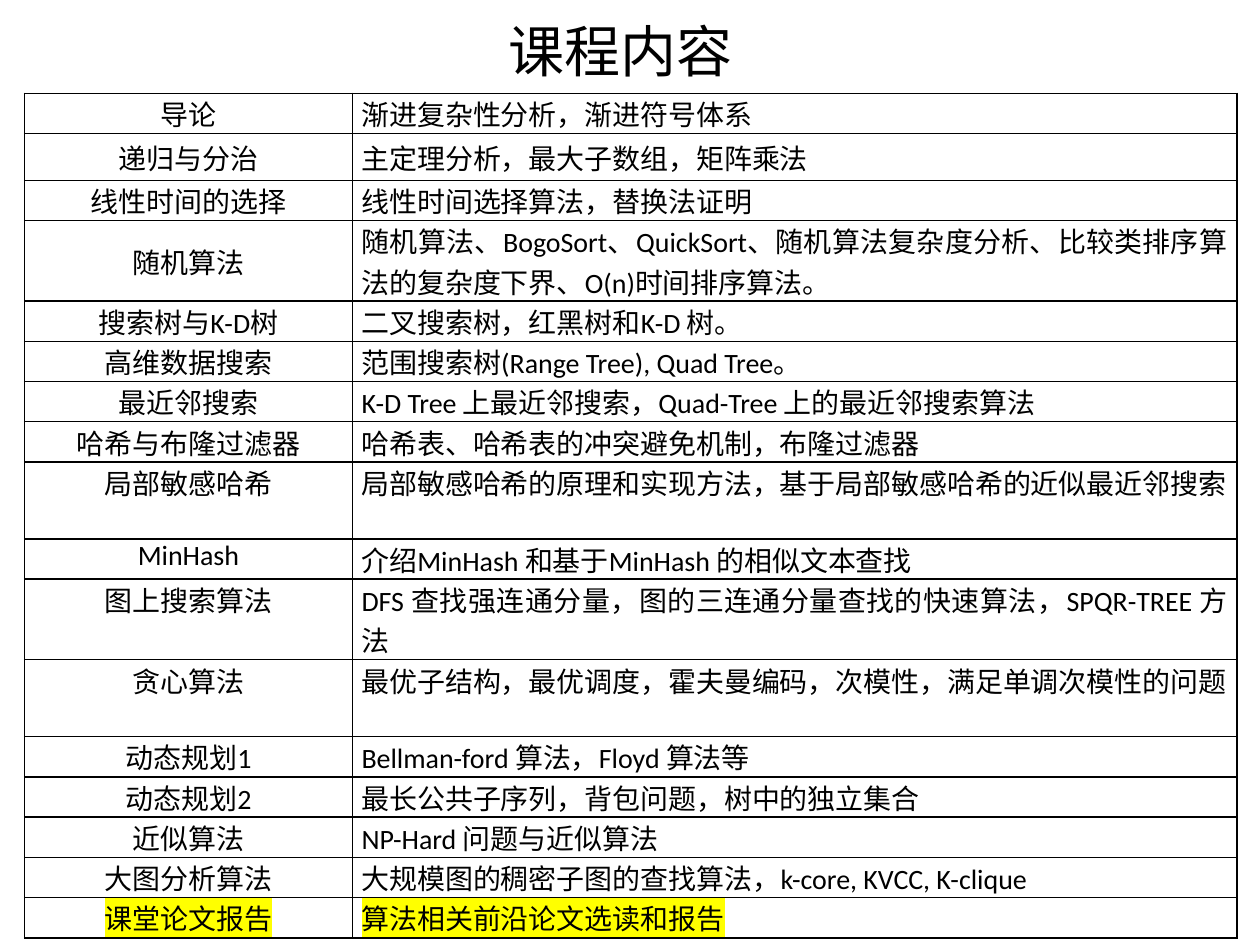
from pptx import Presentation
from pptx.util import Pt
from pptx.dml.color import RGBColor
from pptx.enum.text import PP_ALIGN as Align, MSO_ANCHOR as Anchor
from pptx.oxml import parse_xml
from pptx.oxml.ns import nsdecls

BLACK = RGBColor(0, 0, 0)
YELLOW = RGBColor(255, 255, 0)
LOW, MID, TALL, TWO = 23, 26.8, 44, 46  # TWO holds two lines of text

# Topic, details, row height
ROWS = [
    ("导论", "渐进复杂性分析，渐进符号体系", LOW),
    ("递归与分治", "主定理分析，最大子数组，矩阵乘法", MID),
    ("线性时间的选择", "线性时间选择算法，替换法证明", LOW),
    ("随机算法", "随机算法、BogoSort、QuickSort、随机算法复杂度分析、"
     "比较类排序算法的复杂度下界、O(n)时间排序算法。", TWO),
    ("搜索树与K-D树", "二叉搜索树，红黑树和K-D 树。", LOW),
    ("高维数据搜索", "范围搜索树(Range Tree), Quad Tree。", LOW),
    ("最近邻搜索", "K-D Tree 上最近邻搜索，Quad-Tree 上的最近邻搜索算法", LOW),
    ("哈希与布隆过滤器", "哈希表、哈希表的冲突避免机制，布隆过滤器", LOW),
    ("局部敏感哈希", "局部敏感哈希的原理和实现方法，基于局部敏感哈希的近似最近邻搜索", TALL),
    ("MinHash", "介绍MinHash 和基于MinHash 的相似文本查找", LOW),
    ("图上搜索算法", "DFS 查找强连通分量，图的三连通分量查找的快速算法，SPQR-TREE 方法", TWO),
    ("贪心算法", "最优子结构，最优调度，霍夫曼编码，次模性，满足单调次模性的问题", TALL),
    ("动态规划1", "Bellman-ford 算法，Floyd 算法等", LOW),
    ("动态规划2", "最长公共子序列，背包问题，树中的独立集合", LOW),
    ("近似算法", "NP-Hard 问题与近似算法", LOW),
    ("大图分析算法", "大规模图的稠密子图的查找算法，k-core, KVCC, K-clique", LOW),
    ("课堂论文报告", "算法相关前沿论文选读和报告", LOW),
]
CENTRED = 8  # the first rows are centred vertically, the rest sit at the top
INSETS = {"margin_left": Pt(5.2), "margin_right": Pt(5.2),
          "margin_top": 0, "margin_bottom": 0}


def write(para, text, size):
    run = para.add_run()
    run.text = text
    for key, val in {"size": Pt(size), "name": "Calibri"}.items():
        setattr(run.font, key, val)
    run.font.color.rgb = BLACK
    return run


def border(cell):
    props = cell._tc.get_or_add_tcPr()
    for spot, side in enumerate(("lnL", "lnR", "lnT", "lnB")):
        props.insert(spot, parse_xml(
            f'<a:{side} {nsdecls("a")} w="{Pt(1)}"><a:solidFill>'
            f'<a:srgbClr val="{BLACK}"/></a:solidFill></a:{side}>'))


deck = Presentation()
deck.slide_width, deck.slide_height = Pt(720), Pt(540)
slide = deck.slides.add_slide(deck.slide_layouts[6])

# Title
title = slide.shapes.add_textbox(Pt(283.7), Pt(5.8), Pt(167), Pt(48)).text_frame
title.word_wrap = True
write(title.paragraphs[0], "课程内容", 32)

# Course table
high = sum(row[2] for row in ROWS)
table = slide.shapes.add_table(len(ROWS), 2, Pt(14), Pt(53.3),
                               Pt(692.8), Pt(high)).table
table.first_row = table.horz_banding = False
for col, wide in zip(table.columns, (187.4, 505.4)):
    col.width = Pt(wide)

for num, (topic, detail, tall) in enumerate(ROWS):
    table.rows[num].height = Pt(tall)
    for col, (text, align) in enumerate(((topic, Align.CENTER),
                                         (detail, Align.JUSTIFY))):
        cell = table.cell(num, col)
        for key, val in INSETS.items():
            setattr(cell, key, val)
        cell.vertical_anchor = Anchor.MIDDLE if num < CENTRED else Anchor.TOP
        cell.fill.background()
        border(cell)
        para = cell.text_frame.paragraphs[0]
        para.alignment = align
        run = write(para, text, 16)
        # Highlight the closing row
        if num == len(ROWS) - 1:
            run.font._element[0].addnext(parse_xml(
                f'<a:highlight {nsdecls("a")}>'
                f'<a:srgbClr val="{YELLOW}"/></a:highlight>'))

deck.save("out.pptx")
